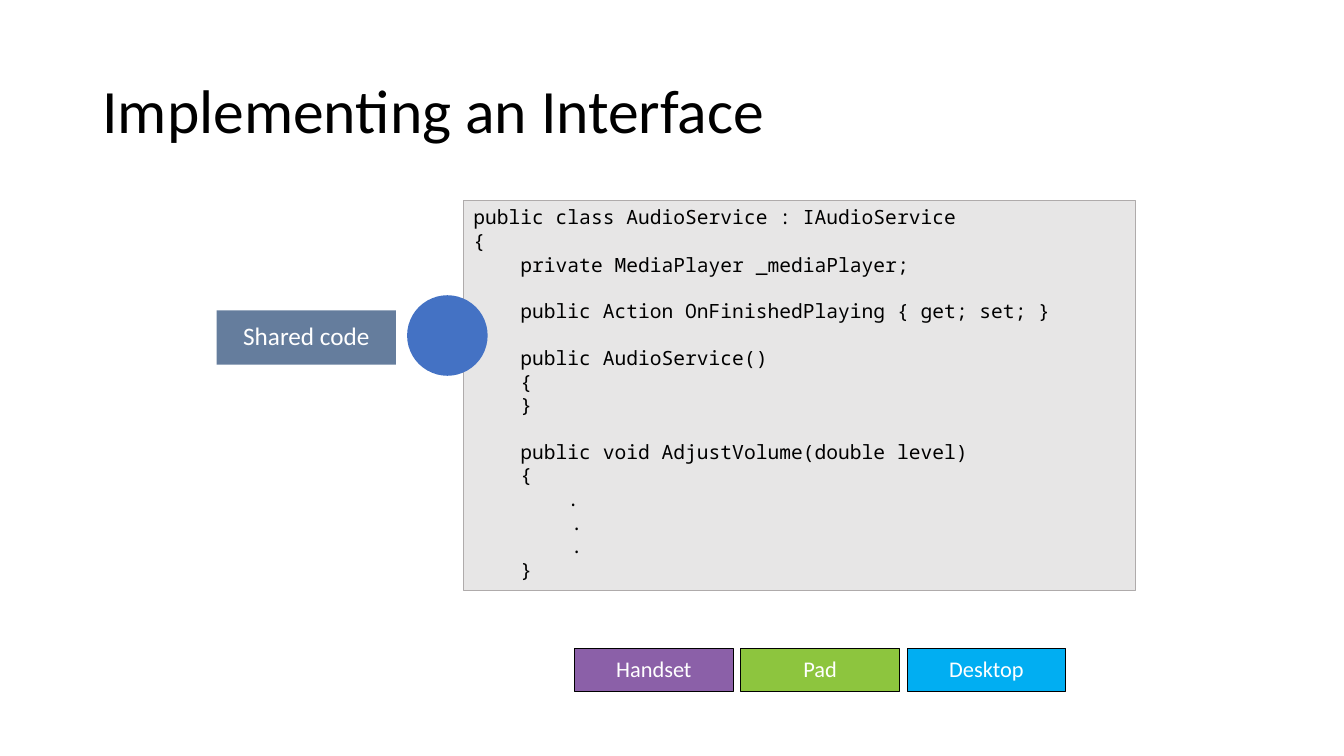
from dataclasses import dataclass

from pptx import Presentation
from pptx import util as u
from pptx.dml.color import RGBColor
from pptx.enum import shapes, text


@dataclass(frozen=True)
class Theme:
    body_font: str = "Calibri"
    code_font: str = "Noto Sans Mono"
    title_size: float = 44
    label_size: float = 18
    platform_size: float = 16
    code_size: float = 14
    code_gap: float = 16.6
    label_spacing: float = 0.9
    black: str = "000000"
    white: str = "FFFFFF"
    code_fill: str = "E7E6E6"
    code_line: str = "AFABAB"
    shared: str = "657D9D"
    connector_dot: str = "4472C4"
    platforms: tuple = (("Handset", "8B60A8"), ("Pad", "8DC53E"), ("Desktop", "01AEF2"))


# Each entry: indent level, blank line before, code
CODE = [
    (0, False, "public class AudioService : IAudioService"),
    (0, False, "{"),
    (0, False, "    private MediaPlayer _mediaPlayer;"),
    (0, True, "    public Action OnFinishedPlaying { get; set; }"),
    (0, True, "    public AudioService()"),
    (0, False, "    {"),
    (0, False, "    }"),
    (0, True, "    public void AdjustVolume(double level)"),
    (0, False, "    {"),
    (0, False, "        ."),
    (1, False, "    ."),
    (1, False, "    ."),
    (0, False, "    }"),
]


class SlideBuilder:
    def __init__(self, slide, theme):
        self.slide = slide
        self.theme = theme

    def add_words(self, paragraph, words, font, size, color):
        run = paragraph.add_run()
        run.text = words
        run.font.name = font
        run.font.size = u.Pt(size)
        run.font.color.rgb = RGBColor.from_string(color)

    def title(self, words, left, top, width, height):
        shape = self.slide.shapes.title
        shape.left, shape.top = u.Cm(left), u.Cm(top)
        shape.width, shape.height = u.Cm(width), u.Cm(height)
        frame = shape.text_frame
        frame.vertical_anchor = text.MSO_ANCHOR.MIDDLE
        paragraph = frame.paragraphs[0]
        paragraph.alignment = text.PP_ALIGN.LEFT
        paragraph.line_spacing = self.theme.label_spacing
        self.add_words(paragraph, words, self.theme.body_font,
                       self.theme.title_size, self.theme.black)

    def block(self, kind, left, top, width, height, fill, line=None, weight=0.5, group=None):
        parent = group or self.slide
        shape = parent.shapes.add_shape(kind, u.Cm(left), u.Cm(top), u.Cm(width), u.Cm(height))
        shape.shadow.inherit = False
        shape.fill.solid()
        shape.fill.fore_color.rgb = RGBColor.from_string(fill)
        if line:
            shape.line.color.rgb = RGBColor.from_string(line)
            shape.line.width = u.Pt(weight)
        else:
            shape.line.fill.background()
        return shape

    def label(self, words, size, left, top, width, height, fill, line=None, group=None):
        shape = self.block(shapes.MSO_SHAPE.RECTANGLE, left, top, width, height,
                           fill, line, group=group)
        frame = shape.text_frame
        frame.word_wrap = True
        frame.vertical_anchor = text.MSO_ANCHOR.MIDDLE
        frame.margin_left = frame.margin_right = u.Cm(0.51)
        frame.margin_top = frame.margin_bottom = u.Cm(0.41)
        paragraph = frame.paragraphs[0]
        paragraph.alignment = text.PP_ALIGN.CENTER
        paragraph.line_spacing = self.theme.label_spacing
        self.add_words(paragraph, words, self.theme.body_font, size, self.theme.white)

    def code(self, lines, left, top, width, height):
        theme = self.theme
        shape = self.block(shapes.MSO_SHAPE.RECTANGLE, left, top, width, height,
                           theme.code_fill, theme.code_line, 0.75)
        frame = shape.text_frame
        frame.word_wrap = True
        frame.vertical_anchor = text.MSO_ANCHOR.TOP
        for index, (level, gap, words) in enumerate(lines):
            paragraph = frame.add_paragraph() if index else frame.paragraphs[0]
            paragraph.alignment = text.PP_ALIGN.LEFT
            paragraph.level = level
            if gap:
                paragraph.space_before = u.Pt(theme.code_gap)
            self.add_words(paragraph, words, theme.code_font, theme.code_size, theme.black)

    def platform_row(self, left, top, width, height, step):
        group = self.slide.shapes.add_group_shape()
        for index, (name, color) in enumerate(self.theme.platforms):
            self.label(name, self.theme.platform_size, left + index * step, top,
                       width, height, color, self.theme.black, group)


def main():
    presentation = Presentation()
    presentation.slide_width = u.Cm(33.87)
    presentation.slide_height = u.Cm(19.05)
    theme = Theme()
    slide = presentation.slides.add_slide(presentation.slide_layouts[5])
    builder = SlideBuilder(slide, theme)

    # Title and class listing
    builder.title("Implementing an Interface", 2.33, 1.01, 29.21, 3.68)
    builder.code(CODE, 11.68, 5.05, 16.94, 9.83)

    # Target platforms
    builder.platform_row(14.48, 16.33, 4, 1.1, 4.19)

    # Shared code and its interface dot
    builder.block(shapes.MSO_SHAPE.OVAL, 10.26, 7.44, 2.03, 2.03, theme.connector_dot)
    builder.label("Shared code", theme.label_size, 5.46, 7.82, 4.52, 1.37, theme.shared)

    presentation.save("out.pptx")


if __name__ == "__main__":
    main()
